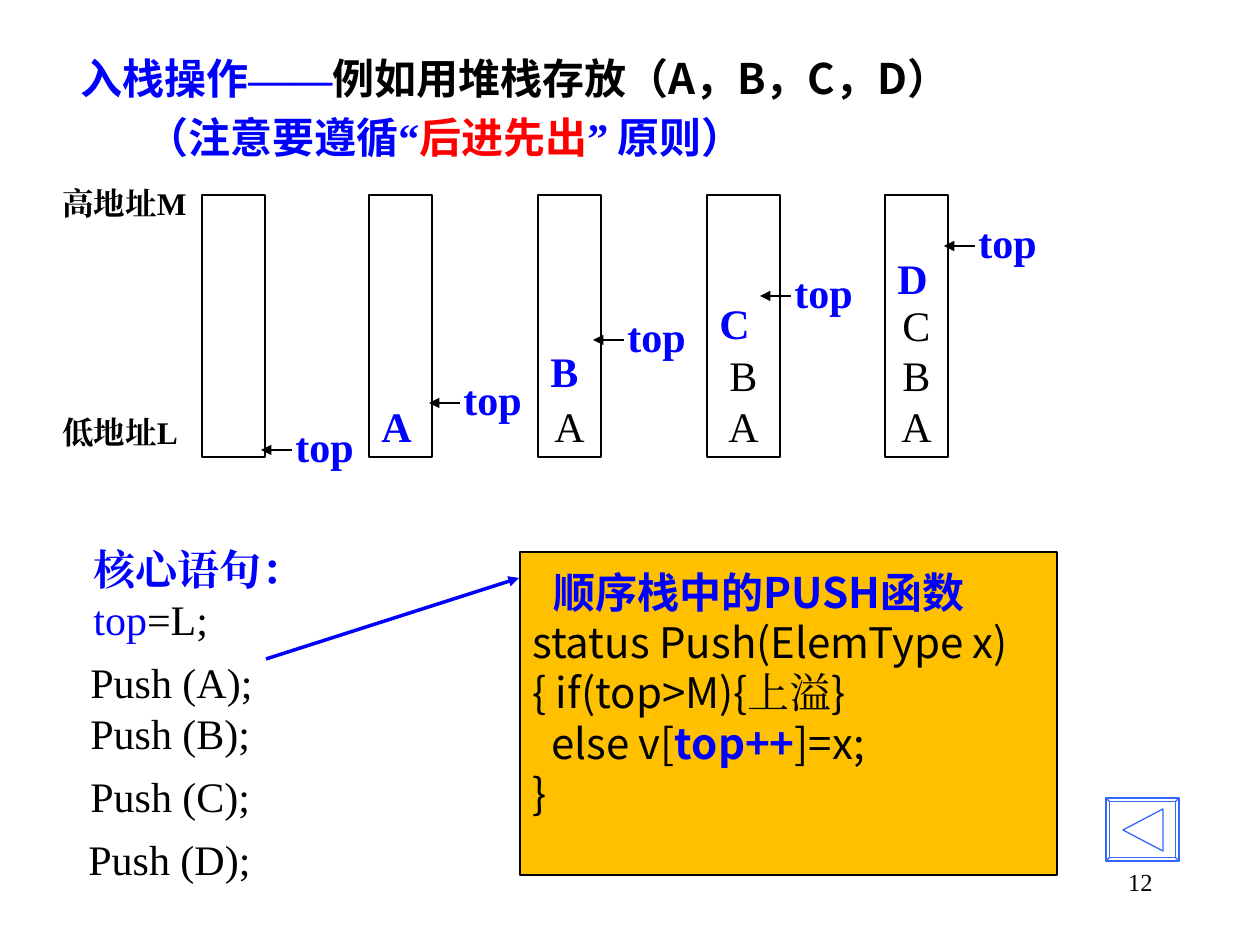
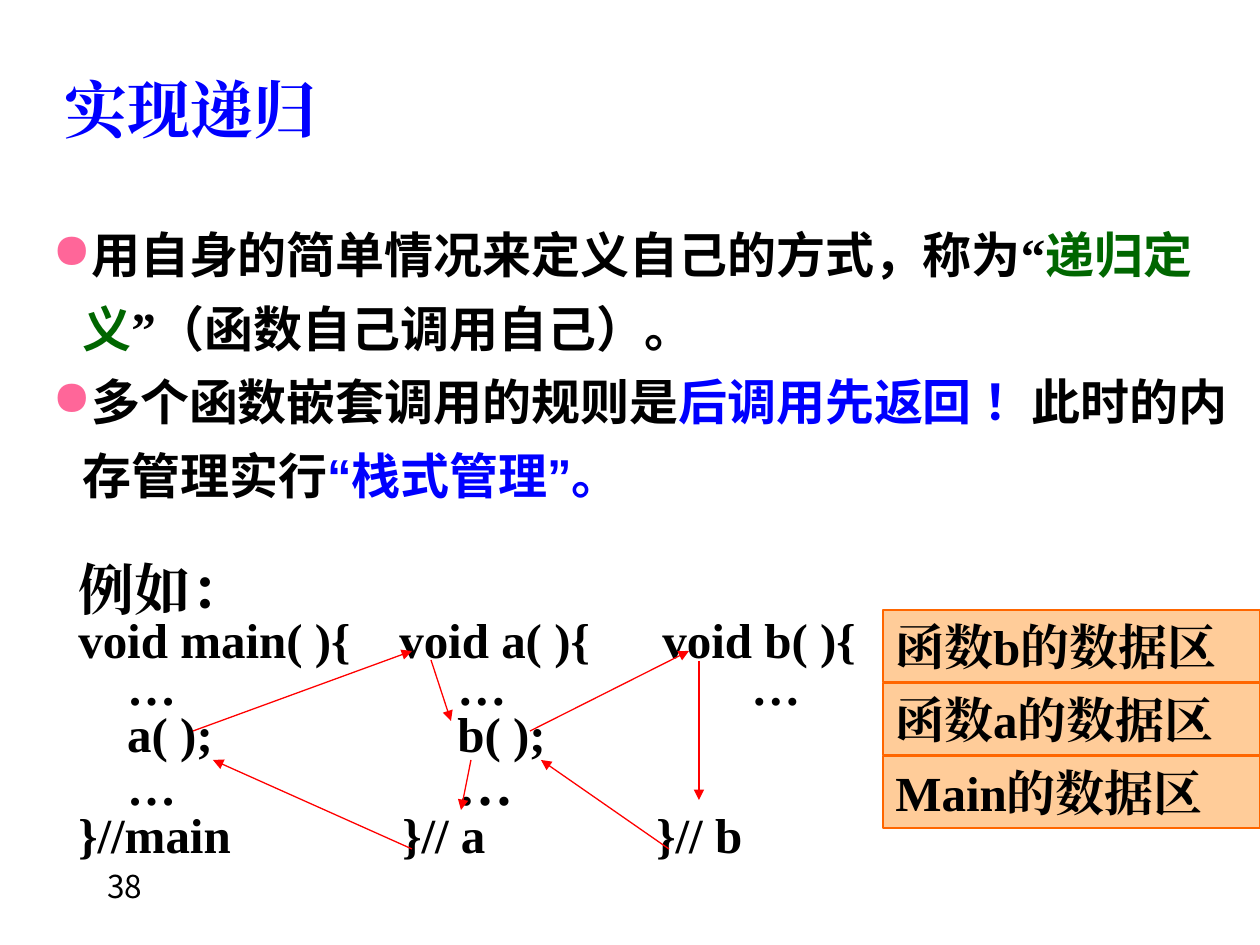
from dataclasses import dataclass
from functools import partial

from lxml.etree import SubElement
from pptx import Presentation
from pptx.dml.color import RGBColor
from pptx.enum.shapes import MSO_CONNECTOR as Link, MSO_SHAPE as Kind
from pptx.enum.text import MSO_ANCHOR as Anchor, PP_ALIGN as Align
from pptx.oxml.ns import qn
from pptx.util import Emu, Pt

PX = 914400 / 126


@dataclass(frozen=True)
class Theme:
    black: str = "000000"
    blue: str = "0000FF"
    red: str = "FF0000"
    green: str = "006600"
    pink: str = "FF6699"
    gold: str = "FFC000"
    peach: str = "FFCC99"
    orange: str = "FF6600"
    sky: str = "3366FF"
    serif: str = "Times New Roman"
    sans: str = "Noto Sans CJK SC"
    arial: str = "Arial"
    tiny: int = 14
    small: int = 18
    text: int = 24
    large: int = 28
    head: int = 32
    title: int = 36
    thin: float = 0.75
    thick: float = 2


T = Theme()


@dataclass
class Run:
    text: str
    ink: str = T.black
    bold: bool = False
    font: str = T.serif
    size: int = T.text


def box(slide, x, y, w, h, rows=(), fill=None, edge=None, kind=Kind.RECTANGLE,
        anchor=Anchor.TOP, align=Align.LEFT):
    """Add a text box, or a shape if it has a fill or an edge, and write rows of runs."""
    area = [Emu(round(n * PX)) for n in (x, y, w, h)]
    if fill or edge:
        shape = slide.shapes.add_shape(kind, *area)
        shape.shadow.inherit = False
        if fill:
            shape.fill.solid()
            shape.fill.fore_color.rgb = RGBColor.from_string(fill)
        else:
            shape.fill.background()
        shape.line.color.rgb = RGBColor.from_string(edge)
        shape.line.width = Pt(T.thin)
    else:
        shape = slide.shapes.add_textbox(*area)
    frame = shape.text_frame
    frame.word_wrap = True
    frame.vertical_anchor = anchor
    for i, row in enumerate(rows):
        para = frame.add_paragraph() if i else frame.paragraphs[0]
        para.alignment = align
        for part in row:
            run = para.add_run()
            run.text = part.text
            font = run.font
            font.size, font.bold, font.name = Pt(part.size), part.bold, part.font
            font.color.rgb = RGBColor.from_string(part.ink)
            SubElement(font._element, qn("a:ea"), typeface=part.font)
    return shape


def arrow(slide, x1, y1, x2, y2, ink=T.black, width=T.thin):
    ends = [Emu(round(n * PX)) for n in (x1, y1, x2, y2)]
    link = slide.shapes.add_connector(Link.STRAIGHT, *ends)
    link.line.color.rgb = RGBColor.from_string(ink)
    link.line.width = Pt(width)
    SubElement(link.line._get_or_add_ln(), qn("a:tailEnd"), type="triangle")
    SubElement(link._element.spPr, qn("a:effectLst"))


deck = Presentation()
deck.slide_width, deck.slide_height = Emu(round(1260 * PX)), Emu(round(945 * PX))
blank = deck.slide_layouts[6]

# Slide 1: pushing onto a stack
push = deck.slides.add_slide(blank)
Sans = partial(Run, font=T.sans)
Bold = partial(Run, bold=True)
Strong = partial(Run, bold=True, font=T.sans)

# Title
title = box(push, 68, 44, 1097, 126, [
    [Strong("入栈操作", T.blue), Bold("——", T.blue),
     Strong("例如用堆栈存放（A，B，C，D）")],
    [Strong("（注意要遵循", T.blue), Bold("“", T.blue), Strong("后进先出", T.red),
     Bold("”", T.blue), Strong(" 原则）", T.blue)],
], anchor=Anchor.MIDDLE)
note = title.text_frame.paragraphs[1]
note.space_before = Pt(4.8)
note._p.get_or_add_pPr().set("marL", str(round(66 * PX)))

# Stacks: left, width, arrow tip, top of the new letter
stacks = [
    (202, 63, 261, 450, None),
    (369, 63, 429, 403, 394),
    (538, 63, 593, 340, 339),
    (707, 73, 760, 296, 291),
    (885, 63, 944, 246, 246),
]
for n, (x, w, tip, level, high) in enumerate(stacks):
    old = "ABCD"[:max(n - 1, 0)][::-1]
    box(push, x, 195, w, 262, [[Run(c)] for c in old], edge=T.black,
        anchor=Anchor.BOTTOM, align=Align.CENTER)
    if high:
        box(push, x, high, 63, 63, [[Bold("ABCD"[n - 1], T.blue)]])
    arrow(push, tip + 31, level, tip, level)
    box(push, tip + 22, level - 36, 90, 63, [[Bold("top", T.blue)]])

for y, name in (178, "高地址M"), (407, "低地址L"):
    box(push, 50, y, 165, 50, [[Bold(name, size=T.small)]])

# Core statements
box(push, 81, 537, 282, 113, [
    [Bold("核心语句：", T.blue)],
    [Run("top", T.blue), Run("=L;")],
])
for x, y, item in (78, 650, "A"), (78, 701, "B"), (78, 764, "C"), (76, 827, "D"):
    box(push, x, y, 200, 63, [[Run(f"Push ({item});")]])

# Push function
code = box(push, 520, 552, 537, 323, [
    [Strong("顺序栈中的PUSH函数", T.blue)],
    [Sans("status Push(ElemType x)")],
    [Sans("{ if(top>M){"), Run("上溢"), Sans("}")],
    [Sans("  else v["), Strong("top++", T.blue), Sans("]=x;")],
    [Sans("}")],
], fill=T.gold, edge=T.black)
code.text_frame.margin_top = Emu(round(14 * PX))
code.text_frame.paragraphs[0]._p.get_or_add_pPr().set("marL", str(round(21 * PX)))
arrow(push, 266, 659, 519, 578, T.blue, T.thick)

# Back button and page number
frame = box(push, 1106, 798, 73, 63, edge=T.sky, kind=Kind.BEVEL)
frame.adjustments[0] = 0.06
mark = box(push, 1122, 810, 42, 40, edge=T.sky, kind=Kind.ISOSCELES_TRIANGLE)
mark.rotation = -90
box(push, 903, 861, 262, 63, [[Run("12", size=T.tiny)]], align=Align.RIGHT)

# Slide 2: recursion
recur = deck.slides.add_slide(blank)
Sans = partial(Run, bold=True, font=T.sans, size=T.large)
Serif = partial(Run, bold=True, size=T.large)
Arial = partial(Run, bold=True, font=T.arial, size=T.large)

box(recur, 52, 64, 330, 88, [[Bold("实现递归", T.blue, size=T.title)]])
box(recur, 95, 861, 262, 63, [[Run("38", font=T.sans, size=T.small)]])

# Bulleted rules
rules = box(recur, 40, 204, 1220, 307, [
    [Sans("用自身的简单情况来定义自己的方式，称为"), Serif("“"),
     Sans("递归定义", T.green), Serif("”"), Sans("（函数自己调用自己）。")],
    [Sans("多个函数嵌套调用的规则是"), Sans("后调用先返回 ！", T.blue),
     Sans("此时的内存管理实行"), Arial("“", T.blue), Sans("栈式管理", T.blue),
     Arial("”", T.blue), Sans("。", T.blue)],
])
for para in rules.text_frame.paragraphs:
    props = para._p.get_or_add_pPr()
    props.set("marL", str(round(30 * PX)))
    props.set("indent", str(-round(30 * PX)))
    SubElement(SubElement(props, qn("a:buClr")), qn("a:srgbClr"), val=T.pink)
    SubElement(props, qn("a:buChar"), char="●")
    para.line_spacing = 1.25

# Data areas
for i, name in enumerate(("函数b的数据区", "函数a的数据区", "Main的数据区")):
    box(recur, 883, 610 + 73 * i, 377, 72, [[Serif(name)]],
        fill=T.peach, edge=T.orange)

# Three functions side by side, with tab stops for each line
lines = [
    ([Serif("例如：", size=T.head)], ()),
    ([Serif("void main( ){\tvoid a( ){\tvoid b( ){")], (321, 584)),
    ([Serif("    …\t…\t…")], (379, 673)),
    ([Serif("    a( );\tb( );")], (379,)),
    ([Serif("    …\t"), Serif("…", size=T.head)], (379,)),
    ([Serif("}//main\t}// a\t}// b")], (324, 578)),
]
calls = box(recur, 66, 561, 858, 309, [row for row, _ in lines])
for para, (_, stops) in zip(calls.text_frame.paragraphs, lines):
    if stops:
        tabs = SubElement(para._p.get_or_add_pPr(), qn("a:tabLst"))
        for stop in stops:
            SubElement(tabs, qn("a:tab"), pos=str(round(stop * PX)), algn="l")
    para.line_spacing = 0.8

# Calls and returns
for ends in [
    (193, 731, 412, 651), (431, 660, 451, 721), (530, 731, 689, 651),
    (699, 661, 699, 800), (669, 849, 541, 760), (471, 760, 461, 810),
    (412, 849, 213, 760),
]:
    arrow(recur, *ends, T.red)

deck.save("out.pptx")
